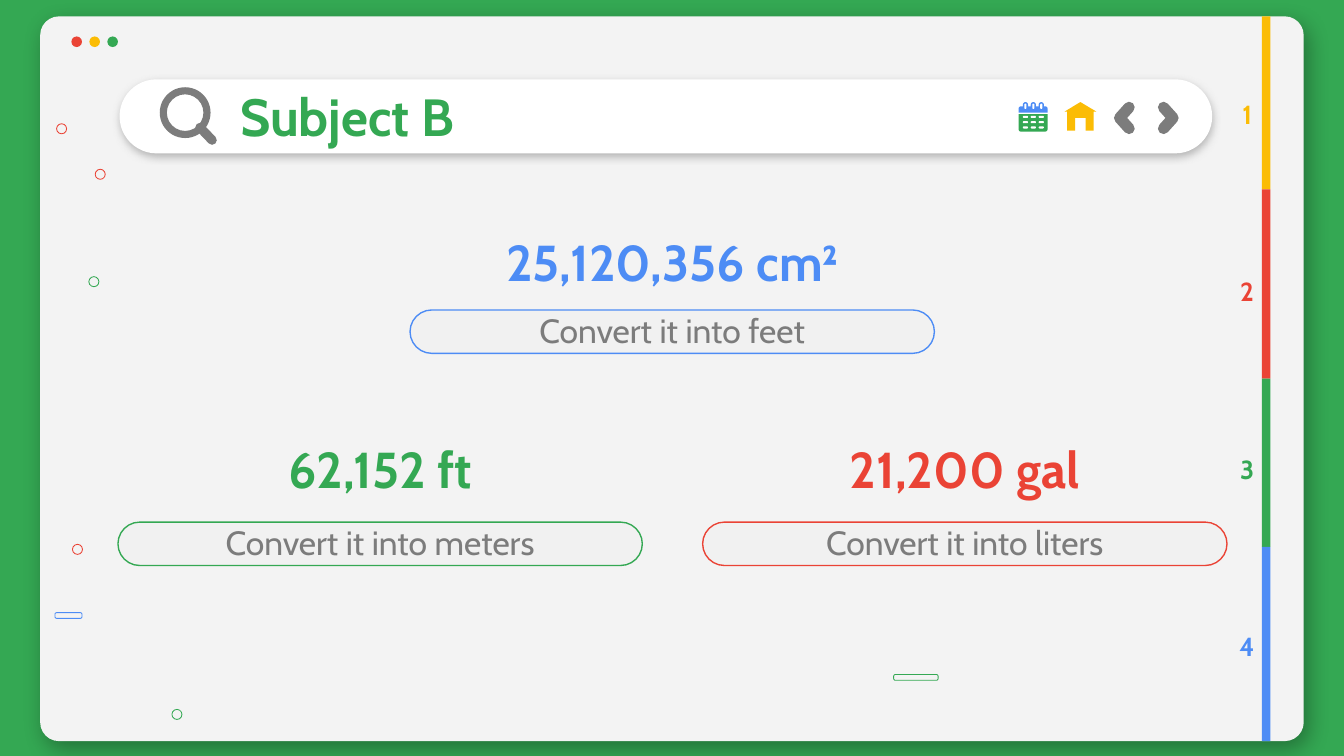
from lxml import etree
from pptx import Presentation
from pptx.dml.color import RGBColor
from pptx.enum.shapes import MSO_SHAPE
from pptx.enum.text import MSO_ANCHOR, PP_ALIGN
from pptx.oxml.ns import qn
from pptx.util import Cm, Pt

GREEN = RGBColor(0x34, 0xA8, 0x53)
RED = RGBColor(0xEA, 0x43, 0x35)
YELLOW = RGBColor(0xFB, 0xBC, 0x05)
BLUE = RGBColor(0x4D, 0x8C, 0xF5)
GRAY = RGBColor(0x7C, 0x7C, 0x7C)
PAPER = RGBColor(0xF3, 0xF3, 0xF3)
PILL_FILL = RGBColor(0xF1, 0xF1, 0xF1)
WHITE = RGBColor(0xFF, 0xFF, 0xFF)
BLACK = RGBColor(0, 0, 0)

RECT = MSO_SHAPE.RECTANGLE
ROUNDED = MSO_SHAPE.ROUNDED_RECTANGLE
HALF_ROUNDED = MSO_SHAPE.ROUND_2_SAME_RECTANGLE
ELLIPSE = MSO_SHAPE.OVAL
RING = MSO_SHAPE.DONUT
MIDDLE = MSO_ANCHOR.MIDDLE
LEFT = PP_ALIGN.LEFT
CENTER = PP_ALIGN.CENTER
FONT = "Cabin"


def paint(shape, fill=None, line=None, weight=0.75):
    shape.shadow.inherit = False
    if fill is None:
        shape.fill.background()
    else:
        shape.fill.solid()
        shape.fill.fore_color.rgb = fill
    if line is None:
        shape.line.fill.background()
    else:
        shape.line.color.rgb = line
        shape.line.width = Pt(weight)


def add_part(slide, kind, left, top, width, height, fill=None, line=None, weight=0.75, adjust=()):
    part = slide.shapes.add_shape(kind, Cm(left), Cm(top), Cm(width), Cm(height))
    for index, value in enumerate(adjust):
        part.adjustments[index] = value
    paint(part, fill, line, weight)
    return part


def add_outline(slide, points, close):
    corners = [(Cm(x), Cm(y)) for x, y in points]
    builder = slide.shapes.build_freeform(*corners[0])
    builder.add_line_segments(corners[1:], close=close)
    return builder.convert_to_shape()


def add_stroke(slide, points, weight):
    stroke = add_outline(slide, points, close=False)
    paint(stroke, line=GRAY, weight=weight)
    outline = stroke.line._get_or_add_ln()
    outline.set("cap", "rnd")
    etree.SubElement(outline, qn("a:round"))


def add_shadow(shape, color, alpha, blur, distance, angle):
    effects = shape._element.spPr.find(qn("a:effectLst"))
    shadow = etree.SubElement(effects, qn("a:outerShdw"), blurRad=str(Pt(blur)),
                              dist=str(Pt(distance)), dir=str(angle * 60000),
                              algn="bl", rotWithShape="0")
    tint = etree.SubElement(shadow, qn("a:srgbClr"), val=str(color))
    etree.SubElement(tint, qn("a:alpha"), val=str(alpha * 1000))


def write(frame, text, size, color, bold=True, align=CENTER):
    frame.word_wrap = True
    frame.vertical_anchor = MIDDLE
    frame.text = text
    paragraph = frame.paragraphs[0]
    paragraph.alignment = align
    font = paragraph.runs[0].font
    font.name = FONT
    font.size = Pt(size)
    font.bold = bold
    font.color.rgb = color


def add_label(slide, left, top, width, height, text, size, color, align=CENTER):
    label = slide.shapes.add_textbox(Cm(left), Cm(top), Cm(width), Cm(height))
    frame = label.text_frame
    frame.margin_left = frame.margin_right = Cm(0.25)
    frame.margin_top = frame.margin_bottom = Cm(0.25)
    write(frame, text, size, color, align=align)


def build_window(slide, left, top, width, height):
    window = add_part(slide, ROUNDED, left, top, width, height, PAPER, adjust=[0.026])
    add_shadow(window, BLACK, 32, 12.4, 5.2, 57)
    for index, color in enumerate((RED, YELLOW, GREEN)):
        add_part(slide, ELLIPSE, left + 0.59 + index * 0.34, top + 0.38, 0.2, 0.2, color)
    bubbles = [(0.61, 9.98, RED), (1.04, 2.89, RED), (0.31, 2.03, RED),
               (0.92, 4.92, GREEN), (2.49, 13.1, GREEN)]
    for x, y, color in bubbles:
        add_part(slide, ELLIPSE, left + x, top + y, 0.19, 0.19, line=color, weight=0.44)
    for x, y, length, color in [(0.28, 11.27, 0.51, BLUE), (16.13, 12.44, 0.84, GREEN)]:
        add_part(slide, ROUNDED, left + x, top + y, length, 0.11, line=color,
                 weight=0.44, adjust=[0.3])


def build_calendar(slide, left, top, width, height):
    columns = [left + 0.08 + column * 0.15 for column in range(3)]
    add_part(slide, HALF_ROUNDED, left, top + 0.23, width, height - 0.23, GREEN, adjust=[0, 0.15])
    add_part(slide, HALF_ROUNDED, left, top + 0.08, width, 0.12, BLUE, adjust=[0.4, 0])
    for x in columns:
        add_part(slide, ROUNDED, x, top, 0.1, 0.17, BLUE, adjust=[0.5])
        add_part(slide, ROUNDED, x + 0.03, top + 0.03, 0.04, 0.1, WHITE, adjust=[0.5])
        for row in range(3):
            add_part(slide, ROUNDED, x, top + 0.26 + row * 0.1, 0.1, 0.04, WHITE, adjust=[0.5])


def build_home(slide, left, top, width, height):
    eaves, wall, door = 0.18, 0.05, 0.2
    half = [(0, eaves), (wall, eaves), (wall, height), (door, height), (door, 0.3)]
    mirrored = [(width - x, y) for x, y in reversed(half)]
    points = [(width / 2, 0)] + half + mirrored
    home = add_outline(slide, [(left + x, top + y) for x, y in points], close=True)
    paint(home, YELLOW)


def build_search_bar(slide, left, top, width, height, title):
    bar = add_part(slide, ROUNDED, left, top, width, height, WHITE, adjust=[0.5])
    add_shadow(bar, GRAY, 50, 4.5, 1.5, 90)
    add_part(slide, RING, left + 0.76, top + 0.15, 0.96, 0.96, GRAY, adjust=[0.14])
    add_stroke(slide, [(left + 1.52, top + 0.91), (left + 1.75, top + 1.15)], 5)
    add_label(slide, left + 2.03, top + 0.02, 18.01, 1.32, title, 28, GREEN, LEFT)
    build_calendar(slide, left + 16.99, top + 0.43, 0.55, 0.56)
    build_home(slide, left + 17.86, top + 0.43, 0.6, 0.54)
    for tip, reach in ((18.9, 0.18), (19.91, -0.18)):
        arrow = [(tip + reach, 0.53), (tip, 0.73), (tip + reach, 0.93)]
        add_stroke(slide, [(left + x, top + y) for x, y in arrow], 6)


def build_exercise(slide, left, top, width, pill_drop, amount, task, color):
    add_label(slide, left + 0.91, top, width - 1.82, 1.09, amount, 27, color)
    pill = add_part(slide, ROUNDED, left, top + pill_drop, width, 0.82, PILL_FILL, color,
                    adjust=[0.5])
    frame = pill.text_frame
    frame.margin_top = 0
    frame.margin_bottom = Cm(0.05)
    write(frame, task, 18, GRAY, bold=False)


def build_index(slide, left, top, width, heights):
    bar_top = top
    for index, (height, color) in enumerate(zip(heights, (YELLOW, RED, GREEN, BLUE))):
        add_part(slide, RECT, left, bar_top, width, height, color)
        add_label(slide, left - 0.89, top + 1.52 + index * 3.35, 1.22, 0.66,
                  str(index + 1), 14, color)
        bar_top += height


def main():
    presentation = Presentation()
    presentation.slide_width = Cm(25.4)
    presentation.slide_height = Cm(14.29)
    slide = presentation.slides.add_slide(presentation.slide_layouts[6])
    slide.background.fill.solid()
    slide.background.fill.fore_color.rgb = GREEN
    build_window(slide, 0.76, 0.31, 23.88, 13.7)
    build_search_bar(slide, 2.26, 1.5, 20.65, 1.4, "Subject B")
    build_exercise(slide, 7.75, 4.39, 9.91, 1.47, "25,120,356 cm²", "Convert it into feet", BLUE)
    build_exercise(slide, 2.23, 8.3, 9.91, 1.57, "62,152 ft", "Convert it into meters", GREEN)
    build_exercise(slide, 13.28, 8.3, 9.91, 1.57, "21,200 gal", "Convert it into liters", RED)
    build_index(slide, 23.85, 0.31, 0.16, (3.27, 3.58, 3.18, 3.67))
    presentation.save("out.pptx")


if __name__ == "__main__":
    main()
